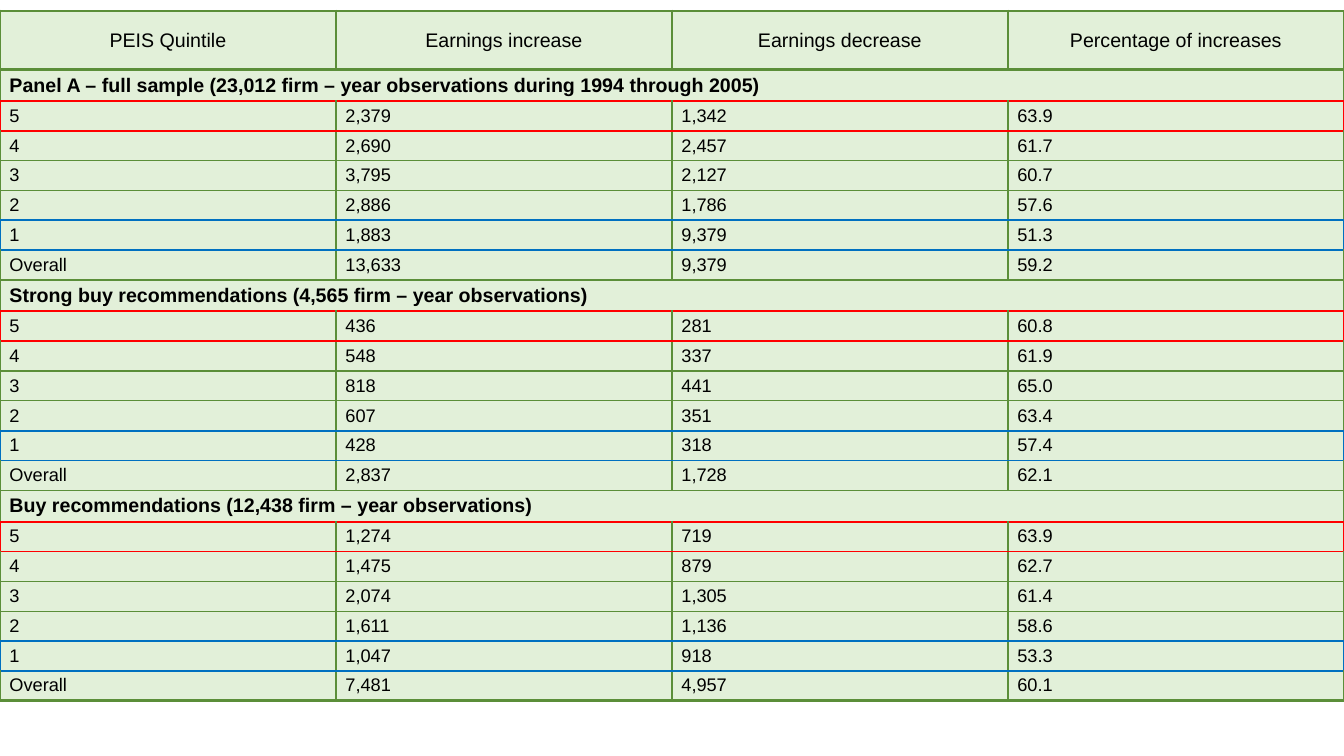
from lxml import etree
from pptx import Presentation
from pptx.dml.color import RGBColor
from pptx.enum import text
from pptx.oxml import ns
from pptx.util import Pt

BLACK = RGBColor(0x00, 0x00, 0x00)
PALE_GREEN = RGBColor(0xE2, 0xF0, 0xD9)
GREEN = RGBColor(0x5B, 0x8E, 0x39)
RED = RGBColor(0xFF, 0x00, 0x00)
BLUE = RGBColor(0x00, 0x70, 0xC0)

# Border lines: colour and width in points
THIN, THICK = (GREEN, 1), (GREEN, 2.25)
TOP_QUINTILE, BOTTOM_QUINTILE = (RED, 1.5), (BLUE, 1.5)

HEADINGS = ["PEIS Quintile", "Earnings increase", "Earnings decrease", "Percentage of increases"]
QUINTILES = ["5", "4", "3", "2", "1", "Overall"]

# Each panel: title, right edge of the title, closing line, values by quintile
PANELS = [
    ("Panel A – full sample (23,012 firm – year observations during 1994 through 2005)", THICK, THICK,
     [("2,379", "1,342", "63.9"), ("2,690", "2,457", "61.7"), ("3,795", "2,127", "60.7"),
      ("2,886", "1,786", "57.6"), ("1,883", "9,379", "51.3"), ("13,633", "9,379", "59.2")]),
    ("Strong buy recommendations (4,565 firm – year observations)", THICK, THIN,
     [("436", "281", "60.8"), ("548", "337", "61.9"), ("818", "441", "65.0"),
      ("607", "351", "63.4"), ("428", "318", "57.4"), ("2,837", "1,728", "62.1")]),
    ("Buy recommendations (12,438 firm – year observations)", THIN, THICK,
     [("1,274", "719", "63.9"), ("1,475", "879", "62.7"), ("2,074", "1,305", "61.4"),
      ("1,611", "1,136", "58.6"), ("1,047", "918", "53.3"), ("7,481", "4,957", "60.1")]),
]


class TableSlide:
    font = "Arial"
    heading_size, value_size = 14, 13
    side_margin, end_margin = 6.8, 3.4

    def __init__(self, presentation):
        self.slide = presentation.slides.add_slide(presentation.slide_layouts[6])

    def table(self, left, top, width, height, row_heights, columns):
        frame = self.slide.shapes.add_table(
            len(row_heights), columns, Pt(left), Pt(top), Pt(width), Pt(height))
        table = frame.table
        table.first_row = table.horz_banding = False
        for row, row_height in zip(table.rows, row_heights):
            row.height = Pt(row_height)
        frame.height = Pt(height)
        return table

    def border(self, cell, side, line):
        colour, width = line
        properties = cell._tc.get_or_add_tcPr()
        edge = etree.SubElement(properties, ns.qn(f"a:ln{side}"), w=str(Pt(width)))
        fill = etree.SubElement(edge, ns.qn("a:solidFill"))
        etree.SubElement(fill, ns.qn("a:srgbClr"), val=str(colour))

    def cell(self, cell, wording, size, left, right, top, bottom, bold=False, centred=False):
        for side, line in zip("LRTB", (left, right, top, bottom)):
            self.border(cell, side, line)
        cell.fill.solid()
        cell.fill.fore_color.rgb = PALE_GREEN
        cell.margin_left = cell.margin_right = Pt(self.side_margin)
        cell.margin_top = cell.margin_bottom = Pt(self.end_margin)
        cell.text = wording
        paragraph = cell.text_frame.paragraphs[0]
        font = paragraph.font
        font.name, font.size, font.bold = self.font, Pt(size), bold
        font.color.rgb = BLACK
        if centred:
            paragraph.alignment = text.PP_ALIGN.CENTER
            cell.vertical_anchor = text.MSO_ANCHOR.MIDDLE

    def row(self, cells, wordings, size, outer, top, bottom, centred=False):
        last = len(wordings) - 1
        for column, wording in enumerate(wordings):
            self.cell(cells[column], wording, size,
                      outer if column == 0 else THIN, outer if column == last else THIN,
                      top, bottom, centred=centred)

    def panel_title(self, cells, title, right, top):
        cells[0].merge(cells[len(cells) - 1])
        self.cell(cells[0], title, self.heading_size, THICK, right, top, TOP_QUINTILE, bold=True)


def main():
    presentation = Presentation()
    presentation.slide_width, presentation.slide_height = Pt(960), Pt(540)
    page = TableSlide(presentation)

    # Table grid: a tall heading row, then a title and six rows per panel
    body_rows = len(PANELS) * (1 + len(QUINTILES))
    table = page.table(0, 7.9, 960, 524, [41.8] + [20.2] * body_rows, len(HEADINGS))
    rows = iter(table.rows)

    # Column headings
    page.row(next(rows).cells, HEADINGS, page.heading_size, THICK, THICK, THICK, centred=True)

    # Panels: the line under one row is also the line above the next
    outer_lines = {"5": TOP_QUINTILE, "1": BOTTOM_QUINTILE}
    lower_lines = {"5": TOP_QUINTILE, "2": BOTTOM_QUINTILE, "1": BOTTOM_QUINTILE}
    top = THICK
    for title, title_right, closing, values in PANELS:
        page.panel_title(next(rows).cells, title, title_right, top)
        top = TOP_QUINTILE
        for quintile, figures in zip(QUINTILES, values):
            bottom = closing if quintile == "Overall" else lower_lines.get(quintile, THIN)
            page.row(next(rows).cells, [quintile, *figures], page.value_size,
                     outer_lines.get(quintile, THICK), top, bottom)
            top = bottom

    presentation.save("out.pptx")


if __name__ == "__main__":
    main()
